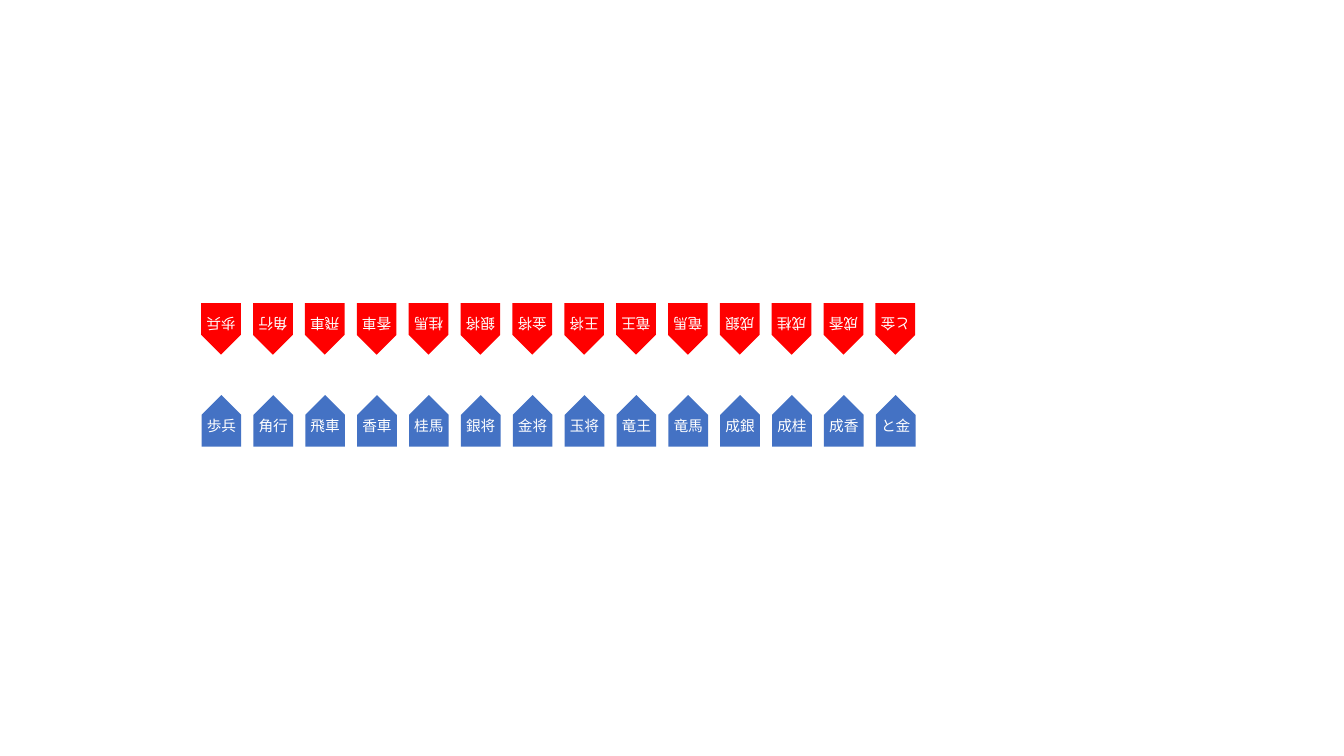
from lxml import etree
from pptx import Presentation
from pptx.dml.color import RGBColor
from pptx.enum.shapes import MSO_SHAPE
from pptx.enum.text import MSO_ANCHOR, PP_ALIGN
from pptx.oxml.ns import qn
from pptx.util import Pt

PIECE_SHAPE = MSO_SHAPE.SNIP_2_SAME_RECTANGLE
MIDDLE = MSO_ANCHOR.MIDDLE
CENTER = PP_ALIGN.CENTER

BLANK_LAYOUT = 6
FONT = "Noto Sans CJK JP"
FONT_SIZE = 10.5
WHITE = "FFFFFF"
BLUE = "4472C4"
RED = "FF0000"

PIECE_WIDTH = 28.35
PIECE_HEIGHT = 36.85
PITCH = 37.05

BASIC_PIECES = ["歩兵", "角行", "飛車", "香車", "桂馬", "銀将", "金将"]
PROMOTED_PIECES = ["竜王", "竜馬", "成銀", "成桂", "成香", "と金"]


def color(hex_string):
    return RGBColor.from_string(hex_string)


def add_label(shape, text):
    frame = shape.text_frame
    frame.word_wrap = False
    frame.vertical_anchor = MIDDLE
    frame.margin_left = frame.margin_right = Pt(0)
    frame.margin_top = frame.margin_bottom = Pt(0)
    paragraph = frame.paragraphs[0]
    paragraph.alignment = CENTER
    run = paragraph.add_run()
    run.text = text
    run.font.size = Pt(FONT_SIZE)
    run.font.color.rgb = color(WHITE)
    run.font.name = FONT
    properties = run._r.get_or_add_rPr()
    etree.SubElement(properties, qn("a:ea"), typeface=FONT)


def add_piece(slide, left, top, text, fill, rotation):
    shape = slide.shapes.add_shape(
        PIECE_SHAPE, Pt(left), Pt(top), Pt(PIECE_WIDTH), Pt(PIECE_HEIGHT)
    )
    shape.adjustments[0] = 0.5
    shape.adjustments[1] = 0
    shape.rotation = rotation
    shape.shadow.inherit = False
    shape.fill.solid()
    shape.fill.fore_color.rgb = color(fill)
    shape.line.fill.background()
    add_label(shape, text)


def add_army(slide, left, top, king, fill, rotation):
    for column, text in enumerate(BASIC_PIECES + [king] + PROMOTED_PIECES):
        add_piece(slide, left + column * PITCH, top, text, fill, rotation)


def main():
    presentation = Presentation()
    presentation.slide_width = Pt(960)
    presentation.slide_height = Pt(540)
    slide = presentation.slides.add_slide(presentation.slide_layouts[BLANK_LAYOUT])
    add_army(slide, 144, 282.2, "玉将", BLUE, 0)
    add_army(slide, 143.7, 216.5, "王将", RED, 180)
    presentation.save("out.pptx")


main()
